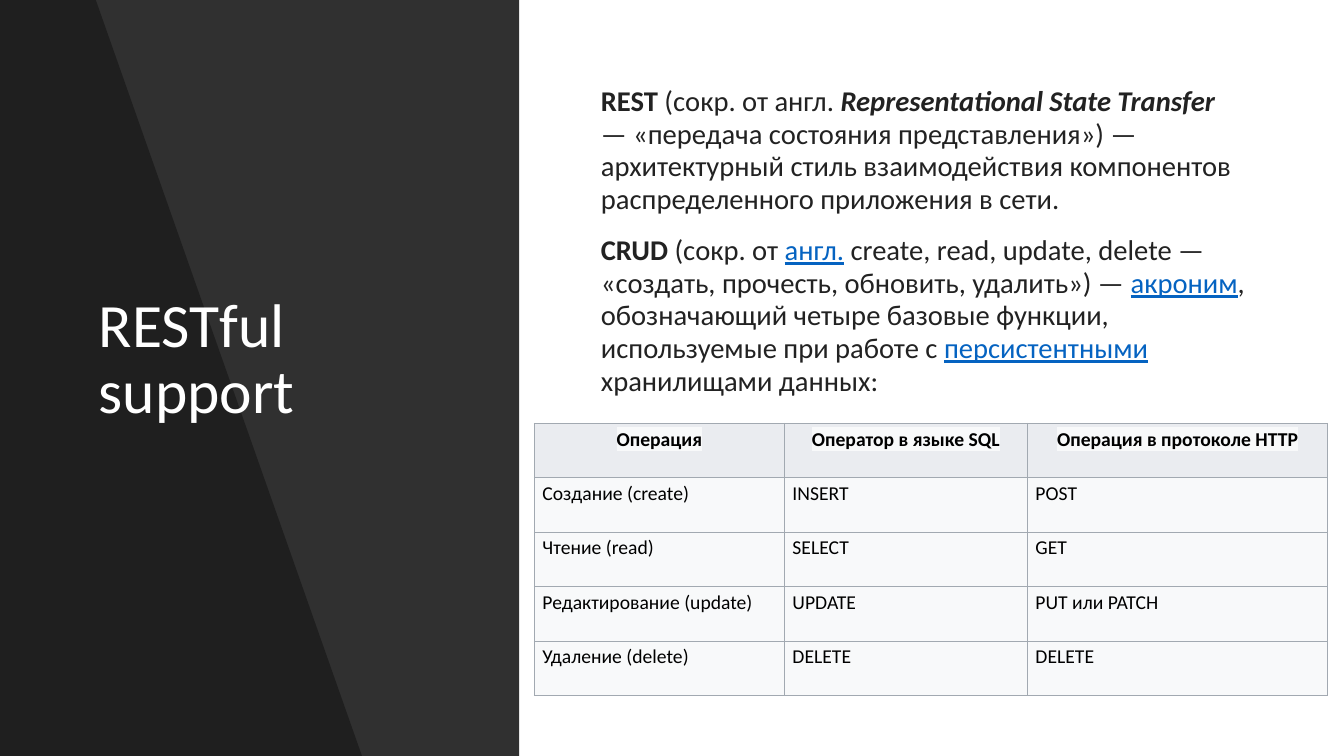
from dataclasses import dataclass

import pptx
import pptx.dml.color
import pptx.enum.shapes
import pptx.enum.text
import pptx.oxml
import pptx.oxml.ns
import pptx.util
from pptx.util import Inches

Align = pptx.enum.text.PP_ALIGN
Anchor = pptx.enum.text.MSO_ANCHOR


@dataclass(frozen=True)
class Theme:
    font: str = "Calibri"
    panel: str = "000000"
    title: str = "FFFFFF"
    body: str = "222222"
    link: str = "0563C1"
    table_text: str = "000000"
    highlight: str = "F8F9FA"
    header_fill: str = "EAECF0"
    cell_fill: str = "F8F9FA"
    border: str = "A2A9B1"
    title_size: float = 44
    body_size: float = 20.4
    table_size: float = 14
    border_width: float = 0.75


THEME = Theme()

# Each span is its text and its style: "", "bold", "bold italic" or "link".
DEFINITIONS = [
    [
        ("REST", "bold"),
        (" (сокр. от англ. ", ""),
        ("Representational State Transfer", "bold italic"),
        (" — «передача состояния представления») — архитектурный стиль "
         "взаимодействия компонентов распределенного приложения в сети.", ""),
    ],
    [
        ("CRUD ", "bold"),
        ("(сокр. от ", ""),
        ("англ.", "link"),
        (" create, read, update, delete — «создать, прочесть, обновить, удалить») — ", ""),
        ("акроним", "link"),
        (", обозначающий четыре базовые функции, используемые при работе с ", ""),
        ("персистентными", "link"),
        (" хранилищами данных:", ""),
    ],
]

OPERATIONS = [
    ("Операция", "Оператор в языке SQL", "Операция в протоколе HTTP"),
    ("Создание (create)", "INSERT", "POST"),
    ("Чтение (read)", "SELECT", "GET"),
    ("Редактирование (update)", "UPDATE", "PUT или PATCH"),
    ("Удаление (delete)", "DELETE", "DELETE"),
]
COLUMN_WIDTHS = (2.48, 2.41, 2.98)
ROW_HEIGHT = 0.54


def rgb(colour):
    return pptx.dml.color.RGBColor.from_string(colour)


def xml(tag, content="", attributes=""):
    namespace = pptx.oxml.ns.nsdecls("a")
    return pptx.oxml.parse_xml(f"<a:{tag} {namespace} {attributes}>{content}</a:{tag}>")


def add_span(para, text, size, colour, style=""):
    span = para.add_run()
    span.text = text
    span.font.name = THEME.font
    span.font.size = pptx.util.Pt(size)
    span.font.bold = "bold" in style
    span.font.italic = "italic" in style
    span.font.underline = "link" in style
    span.font.color.rgb = rgb(THEME.link if "link" in style else colour)
    return span


def finish_panel(panel, opacity, depth):
    """Tint the panel and put it at the given depth behind the text."""
    panel.shadow.inherit = False
    panel.line.fill.background()
    panel.fill.solid()
    panel.fill.fore_color.rgb = rgb(THEME.panel)
    colour = panel.element.spPr.find(".//" + pptx.oxml.ns.qn("a:srgbClr"))
    colour.append(xml("alpha", attributes=f'val="{opacity * 1000}"'))
    panel.element.getparent().insert(2 + depth, panel.element)


def add_panels(page):
    panel = page.shapes.add_shape(
        pptx.enum.shapes.MSO_SHAPE.RECTANGLE, 0, 0, Inches(5.15), Inches(7.5))
    finish_panel(panel, 81, 0)
    outline = page.shapes.build_freeform(0, 0)
    corners = [(0.95, 0), (3.59, 7.5), (0, 7.5)]
    outline.add_line_segments([(Inches(x), Inches(y)) for x, y in corners], close=True)
    finish_panel(outline.convert_to_shape(), 35, 1)


def prepare_placeholder(box, left, top, width, height, anchor):
    box.left, box.top = Inches(left), Inches(top)
    box.width, box.height = Inches(width), Inches(height)
    frame = box.text_frame
    frame.word_wrap = True
    frame.auto_size = pptx.enum.text.MSO_AUTO_SIZE.NONE
    frame.vertical_anchor = anchor
    return frame


def fill_title(box):
    para = prepare_placeholder(box, 0.88, 0.7, 3.59, 5.75, Anchor.MIDDLE).paragraphs[0]
    para.alignment = Align.LEFT
    para.line_spacing = 0.9
    add_span(para, "RESTful support", THEME.title_size, THEME.title)


def fill_definitions(box):
    frame = prepare_placeholder(box, 5.86, 0.8, 6.59, 3.3, Anchor.TOP)
    for number, spans in enumerate(DEFINITIONS):
        para = frame.add_paragraph() if number else frame.paragraphs[0]
        para.line_spacing = 0.95
        para.space_before = pptx.util.Pt(13.3 if number else 0)
        properties = para._p.get_or_add_pPr()
        properties.set("marL", "0")
        properties.set("indent", "0")
        properties.append(xml("buNone"))
        for text, style in spans:
            add_span(para, text, THEME.body_size, THEME.body, style)


def add_borders(cell):
    width = int(pptx.util.Pt(THEME.border_width))
    fill = f'<a:solidFill><a:srgbClr val="{THEME.border}"/></a:solidFill>'
    for side in "LRTB":
        cell._tc.get_or_add_tcPr().append(xml(f"ln{side}", fill, f'w="{width}"'))


def fill_cell(cell, text, is_header):
    cell.margin_left = cell.margin_right = Inches(0.08)
    cell.margin_top = cell.margin_bottom = Inches(0.04)
    add_borders(cell)
    cell.fill.solid()
    cell.fill.fore_color.rgb = rgb(THEME.header_fill if is_header else THEME.cell_fill)
    para = cell.text_frame.paragraphs[0]
    para.alignment = Align.CENTER if is_header else Align.LEFT
    para.space_before = para.space_after = pptx.util.Pt(11)
    span = add_span(para, text, THEME.table_size, THEME.table_text,
                    "bold" if is_header else "")
    colour_fill = span.font._element.find(pptx.oxml.ns.qn("a:solidFill"))
    colour_fill.addnext(xml("highlight", f'<a:srgbClr val="{THEME.highlight}"/>'))


def add_operations_table(page):
    table = page.shapes.add_table(
        len(OPERATIONS), len(COLUMN_WIDTHS), Inches(5.3), Inches(4.2),
        Inches(sum(COLUMN_WIDTHS)), Inches(ROW_HEIGHT * len(OPERATIONS))).table
    table.horz_banding = False
    for column, width in zip(table.columns, COLUMN_WIDTHS):
        column.width = Inches(width)
    for row_number, texts in enumerate(OPERATIONS):
        for column_number, text in enumerate(texts):
            fill_cell(table.cell(row_number, column_number), text, row_number == 0)


def main():
    deck = pptx.Presentation()
    deck.slide_width, deck.slide_height = Inches(13.33), Inches(7.5)
    page = deck.slides.add_slide(deck.slide_layouts[1])
    add_panels(page)
    fill_title(page.shapes.title)
    fill_definitions(page.placeholders[1])
    add_operations_table(page)
    deck.save("out.pptx")


if __name__ == "__main__":
    main()
